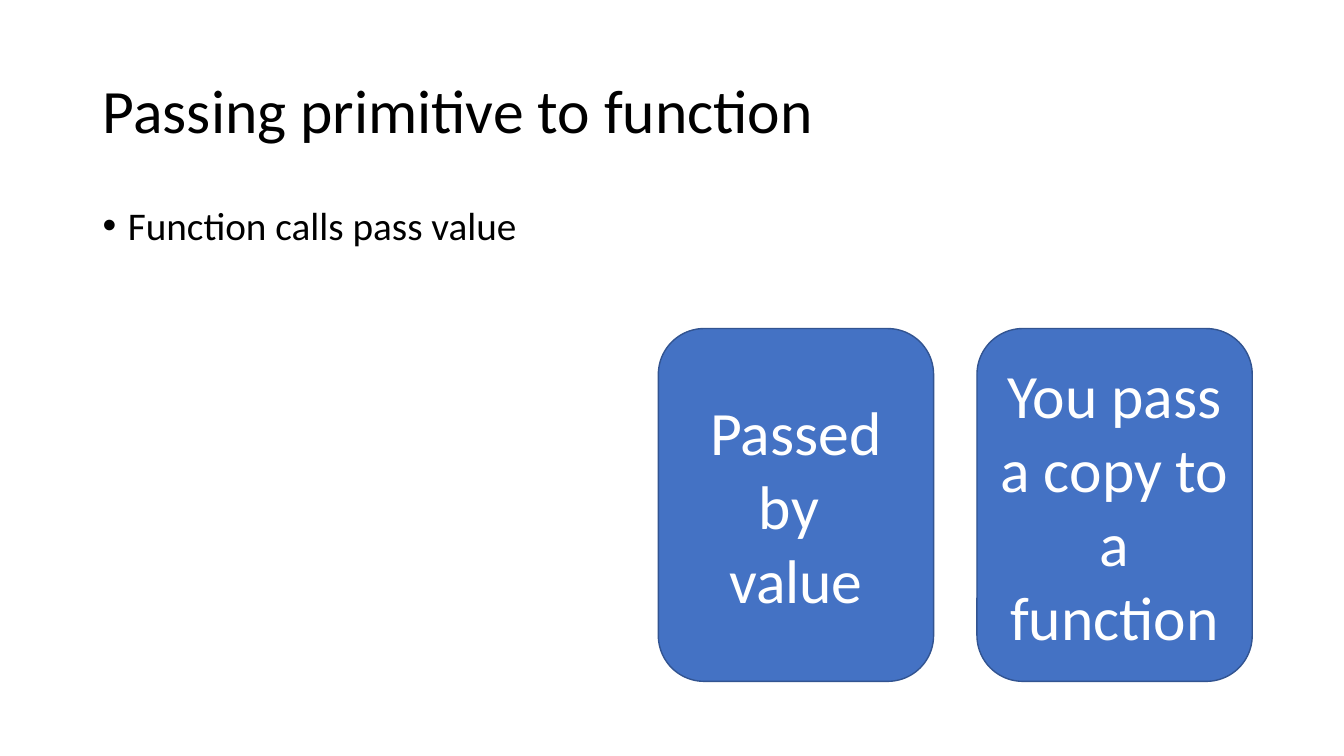
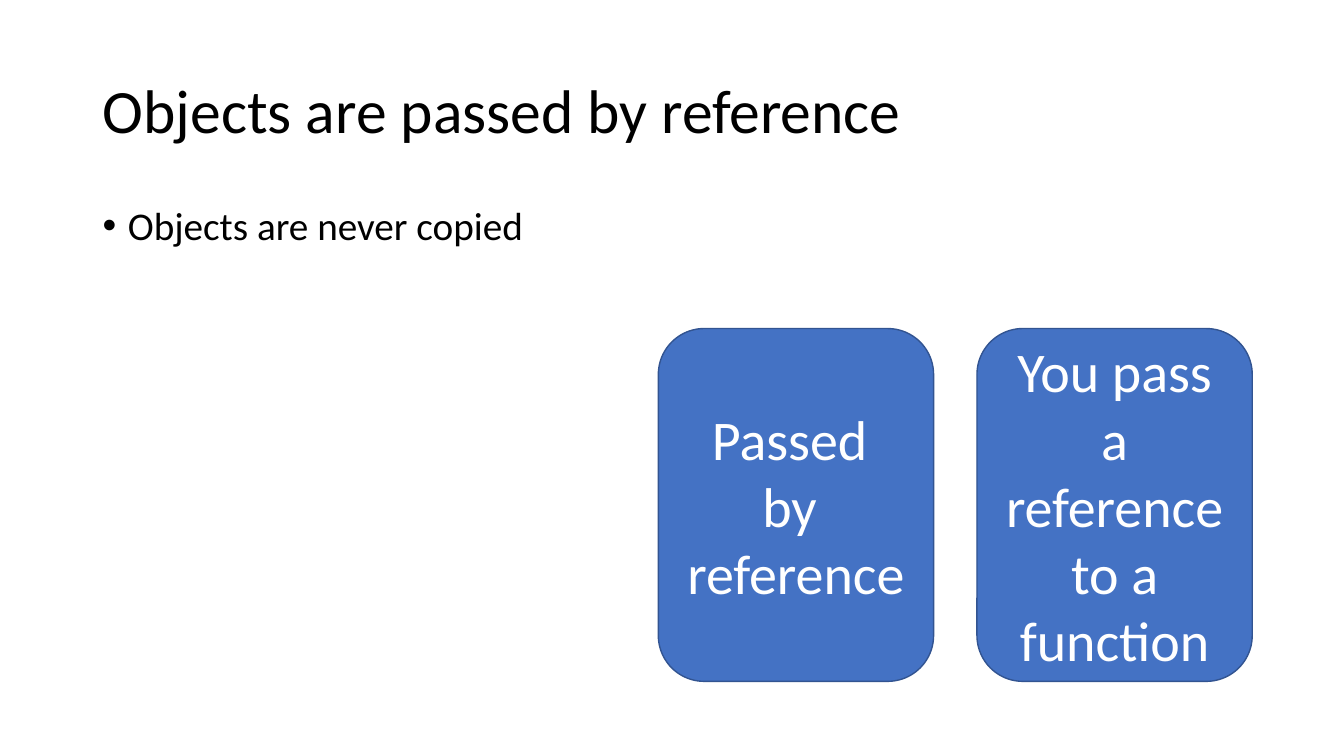
"""Build two slides on passing primitives and objects to functions."""
from dataclasses import dataclass

from lxml.etree import SubElement
from pptx import Presentation
from pptx.dml.color import RGBColor
from pptx.enum.shapes import MSO_SHAPE as Preset
from pptx.enum.text import MSO_ANCHOR as Anchor, MSO_AUTO_SIZE as AutoSize, PP_ALIGN as Align
from pptx.oxml.ns import qn
from pptx.presentation import Presentation as Deck
from pptx.slide import Slide
from pptx.text.text import TextFrame
from pptx.util import Inches, Pt


@dataclass(frozen=True)
class Theme:
    font: str = "Calibri"
    text: RGBColor = RGBColor(0x00, 0x00, 0x00)
    card_text: RGBColor = RGBColor(0xFF, 0xFF, 0xFF)
    card_fill: RGBColor = RGBColor(0x44, 0x72, 0xC4)
    card_line: RGBColor = RGBColor(0x32, 0x54, 0x91)
    title_size: int = 44
    body_size: int = 28
    line_spacing: float = 0.9


@dataclass(frozen=True)
class Topic:
    title: str
    bullet: str
    cards: tuple[tuple[str, ...], ...]
    card_size: int


THEME = Theme()
MARGIN, CONTENT_WIDTH = 0.92, 11.5
CARD_LEFT, CARD_TOP, CARD_WIDTH, CARD_HEIGHT, CARD_GAP = 6.53, 3.26, 2.73, 3.5, 0.43

TOPICS = (
    Topic(
        "Passing primitive to function",
        "Function calls pass value",
        (("Passed by ", "value"), ("You pass a copy to a function",)),
        44,
    ),
    Topic(
        "Objects are passed by reference",
        "Objects are never copied",
        (("Passed ", "by ", "reference"), ("You pass a reference to a function",)),
        40,
    ),
)


def write(frame: TextFrame, lines: tuple[str, ...], size: int, color: RGBColor,
          align: Align, anchor: Anchor) -> None:
    frame.word_wrap = True
    frame.auto_size = AutoSize.NONE
    frame.vertical_anchor = anchor
    frame.text = "\n".join(lines)
    for para in frame.paragraphs:
        para.alignment = align
        para.font.name = THEME.font
        para.font.size = Pt(size)
        para.font.color.rgb = color


def add_title(page: Slide, text: str) -> None:
    title = page.shapes.title
    title.left, title.top = Inches(MARGIN), Inches(0.4)
    title.width, title.height = Inches(CONTENT_WIDTH), Inches(1.45)
    write(title.text_frame, (text,), THEME.title_size, THEME.text, Align.LEFT, Anchor.MIDDLE)
    title.text_frame.paragraphs[0].line_spacing = THEME.line_spacing


def add_bullet(page: Slide, text: str) -> None:
    box = page.shapes.add_textbox(Inches(MARGIN), Inches(2), Inches(CONTENT_WIDTH), Inches(4.76))
    write(box.text_frame, (text,), THEME.body_size, THEME.text, Align.LEFT, Anchor.TOP)
    para = box.text_frame.paragraphs[0]
    para.line_spacing = THEME.line_spacing
    para.space_before = Pt(10)
    properties = para._p.get_or_add_pPr()
    properties.set("marL", str(Inches(0.25)))
    properties.set("indent", str(-Inches(0.25)))
    bullet_font = properties.makeelement(qn("a:buFont"), {"typeface": "Arial"})
    properties.find(qn("a:defRPr")).addprevious(bullet_font)
    bullet_font.addnext(properties.makeelement(qn("a:buChar"), {"char": "•"}))


def add_card(page: Slide, column: int, lines: tuple[str, ...], size: int) -> None:
    left = CARD_LEFT + column * (CARD_WIDTH + CARD_GAP)
    card = page.shapes.add_shape(
        Preset.ROUNDED_RECTANGLE,
        Inches(left), Inches(CARD_TOP), Inches(CARD_WIDTH), Inches(CARD_HEIGHT),
    )
    card.shadow.inherit = False
    card.fill.solid()
    card.fill.fore_color.rgb = THEME.card_fill
    card.line.color.rgb = THEME.card_line
    card.line.width = Pt(1)
    write(card.text_frame, lines, size, THEME.card_text, Align.CENTER, Anchor.MIDDLE)


def add_topic(deck: Deck, topic: Topic) -> None:
    page = deck.slides.add_slide(deck.slide_layouts.get_by_name("Title Only"))
    add_title(page, topic.title)
    add_bullet(page, topic.bullet)
    for column, lines in enumerate(topic.cards):
        add_card(page, column, lines, topic.card_size)


def main() -> None:
    deck = Presentation()
    deck.slide_width, deck.slide_height = Inches(13.33), Inches(7.5)
    for topic in TOPICS:
        add_topic(deck, topic)
    deck.save("out.pptx")


if __name__ == "__main__":
    main()
